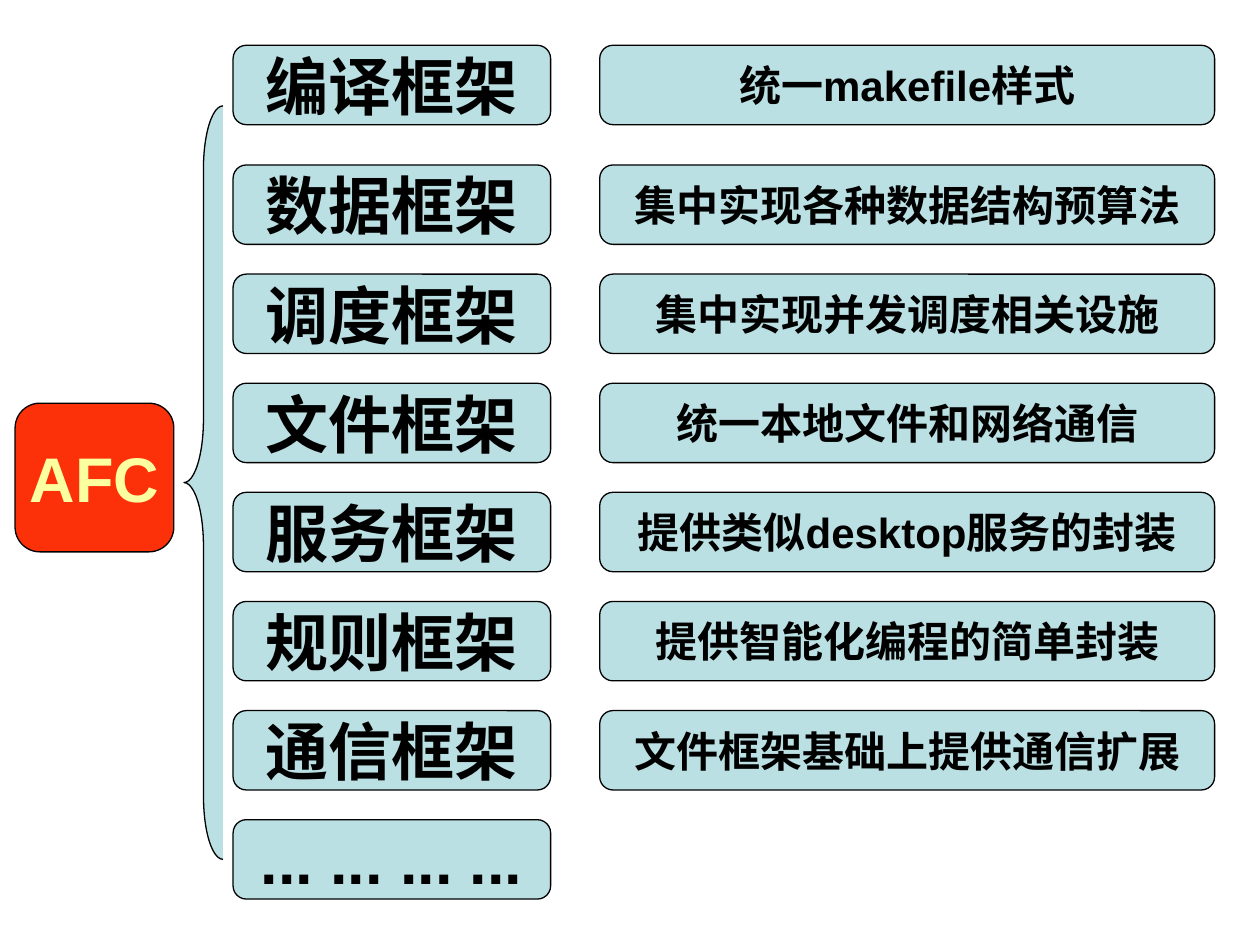
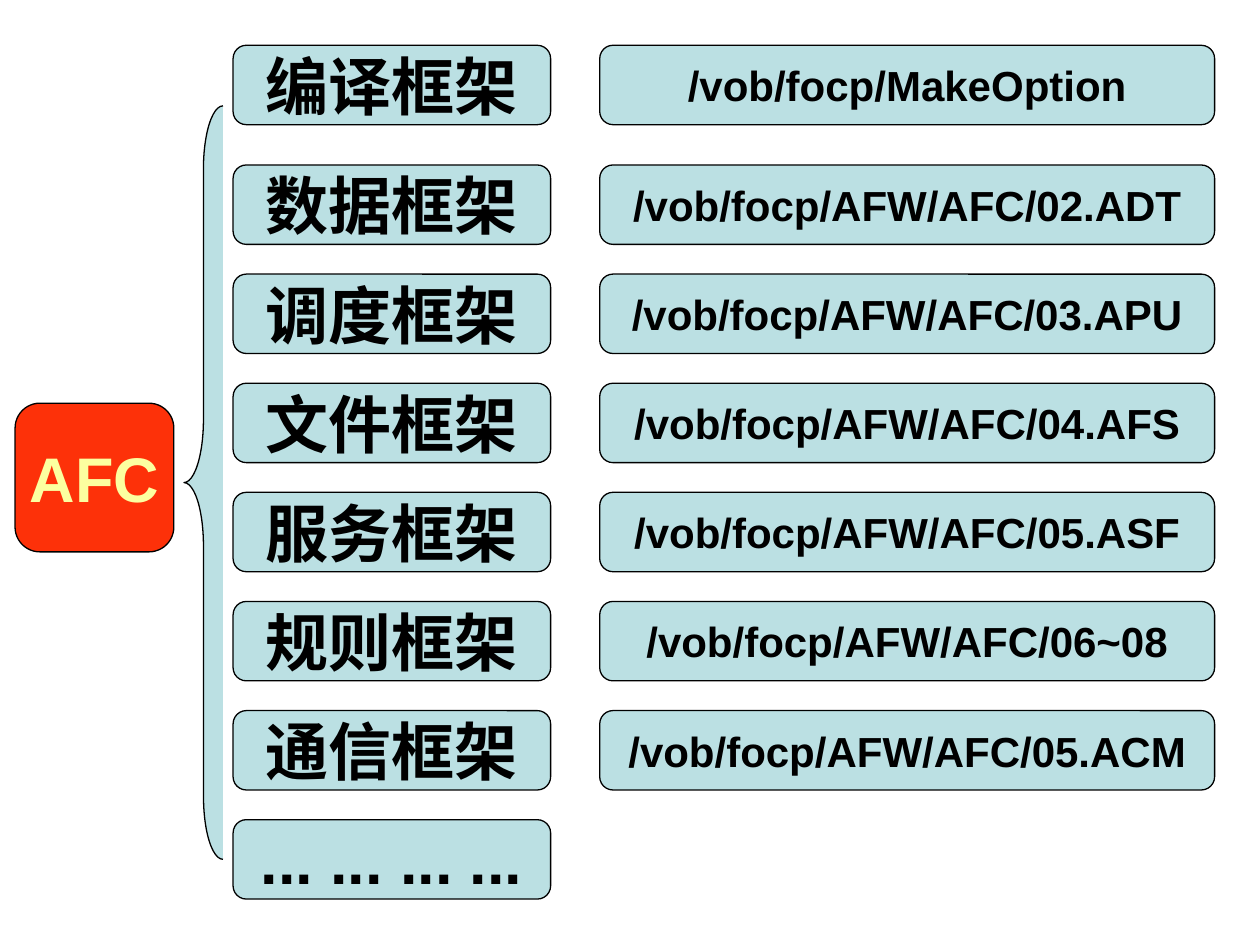
from pptx import Presentation
from pptx.dml.color import RGBColor
from pptx.enum.shapes import MSO_SHAPE
from pptx.enum.text import MSO_ANCHOR, PP_ALIGN
from pptx.util import Inches, Pt

ROUND = MSO_SHAPE.ROUNDED_RECTANGLE
BRACE = MSO_SHAPE.LEFT_BRACE
MIDDLE = MSO_ANCHOR.MIDDLE
CENTER = PP_ALIGN.CENTER
BLANK = 6

COLORS = {
    "red": "FD3109",
    "cream": "FCFFA0",
    "aqua": "BBE0E3",
    "black": "000000",
}
FONT = "Arial"

# Row grid: the first row stands apart, the rest are evenly spaced
FIRST, SECOND, STEP, HEIGHT = 0.36, 1.31, 0.866, 0.63

FRAMES = ["编译框架", "数据框架", "调度框架", "文件框架",
          "服务框架", "规则框架", "通信框架", "... ... ... ..."]
ROLES = ["统一makefile样式", "集中实现各种数据结构预算法",
         "集中实现并发调度相关设施", "统一本地文件和网络通信",
         "提供类似desktop服务的封装", "提供智能化编程的简单封装",
         "文件框架基础上提供通信扩展"]
ROOT = "/vob/focp/"
PATHS = [ROOT + "MakeOption"] + [
    ROOT + "AFW/AFC/" + name
    for name in ("02.ADT", "03.APU", "04.AFS", "05.ASF", "06~08", "05.ACM")]


def color(name):
    return RGBColor.from_string(COLORS[name])


def write(shape, text, size=36, ink="black"):
    """Set one centred bold line of text in a shape."""
    frame = shape.text_frame
    frame.word_wrap = False
    frame.vertical_anchor = MIDDLE
    para = frame.paragraphs[0]
    para.alignment = CENTER
    run = para.add_run()
    run.text = text
    run.font.name = FONT
    run.font.size = Pt(size)
    run.font.bold = True
    run.font.color.rgb = color(ink)


class Deck:
    def __init__(self):
        self.prs = Presentation()
        self.prs.slide_width = Inches(10)
        self.prs.slide_height = Inches(7.5)
        self.slide = None

    def page(self):
        layout = self.prs.slide_layouts[BLANK]
        self.slide = self.prs.slides.add_slide(layout)

    def shape(self, kind, left, top, width, height, fill="aqua"):
        shape = self.slide.shapes.add_shape(
            kind, Inches(left), Inches(top), Inches(width), Inches(height))
        shape.shadow.inherit = False
        shape.fill.solid()
        shape.fill.fore_color.rgb = color(fill)
        shape.line.color.rgb = color("black")
        shape.line.width = Pt(0.75)
        return shape

    def box(self, text, left, top, width, height, fill="aqua", **style):
        write(self.shape(ROUND, left, top, width, height, fill), text, **style)

    def brace(self, left, top, width, height, bend):
        shape = self.shape(BRACE, left, top, width, height)
        shape.adjustments[0] = bend / width

    def column(self, texts, left, width, size):
        for i, text in enumerate(texts):
            top = SECOND + STEP * (i - 1) if i else FIRST
            self.box(text, left, top, width, HEIGHT, size=size)

    def tree(self, notes):
        self.page()
        # Root and brace
        self.box("AFC", 0.12, 3.2, 1.26, 1.18, fill="red", ink="cream")
        self.brace(1.46, 0.84, 0.31, 5.98, bend=0.5)
        # Frameworks and their notes
        self.column(FRAMES, 1.85, 2.52, 36)
        self.column(notes, 4.76, 4.88, 24)


def main():
    deck = Deck()
    for notes in (ROLES, PATHS):
        deck.tree(notes)
    deck.prs.save("out.pptx")


if __name__ == "__main__":
    main()
